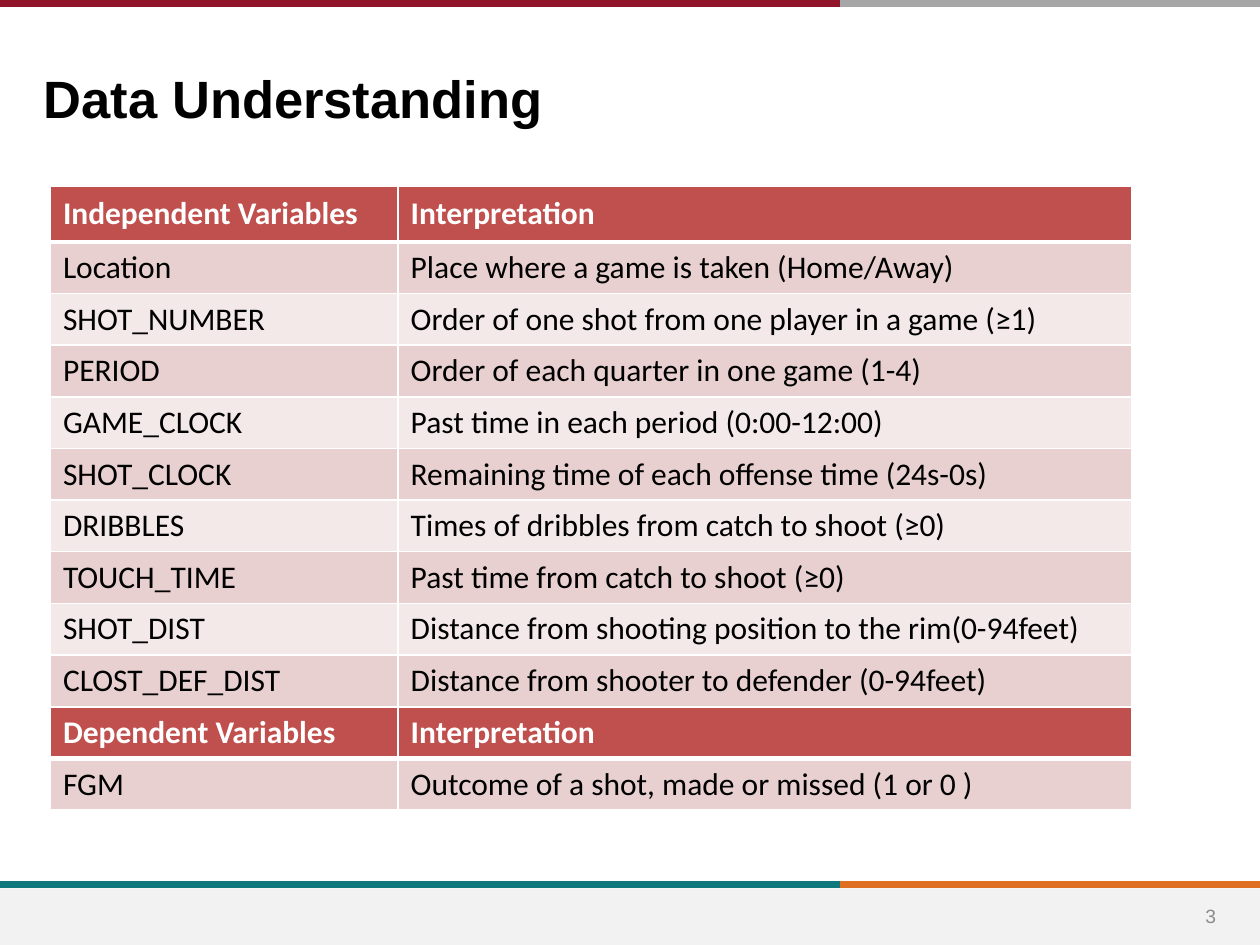
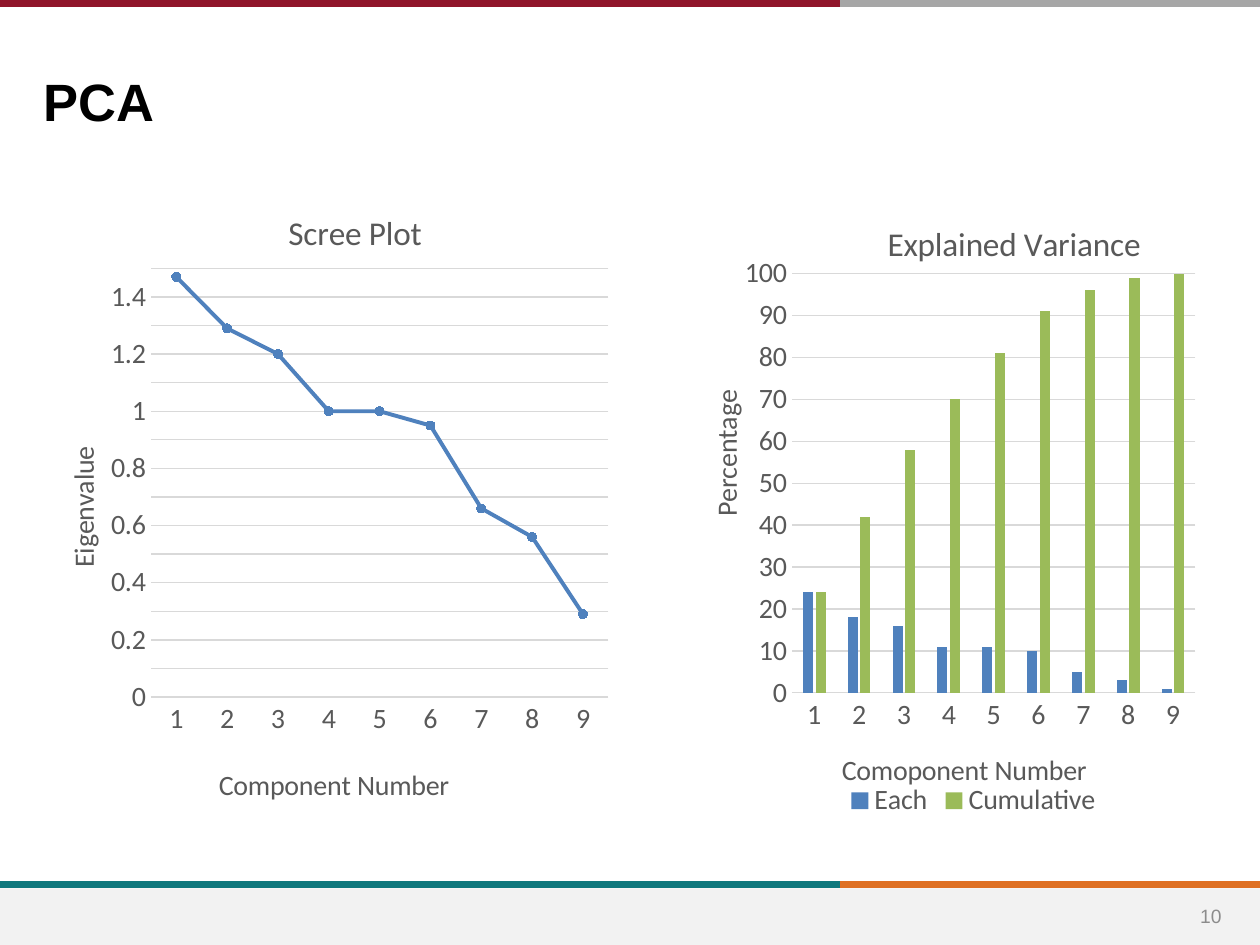
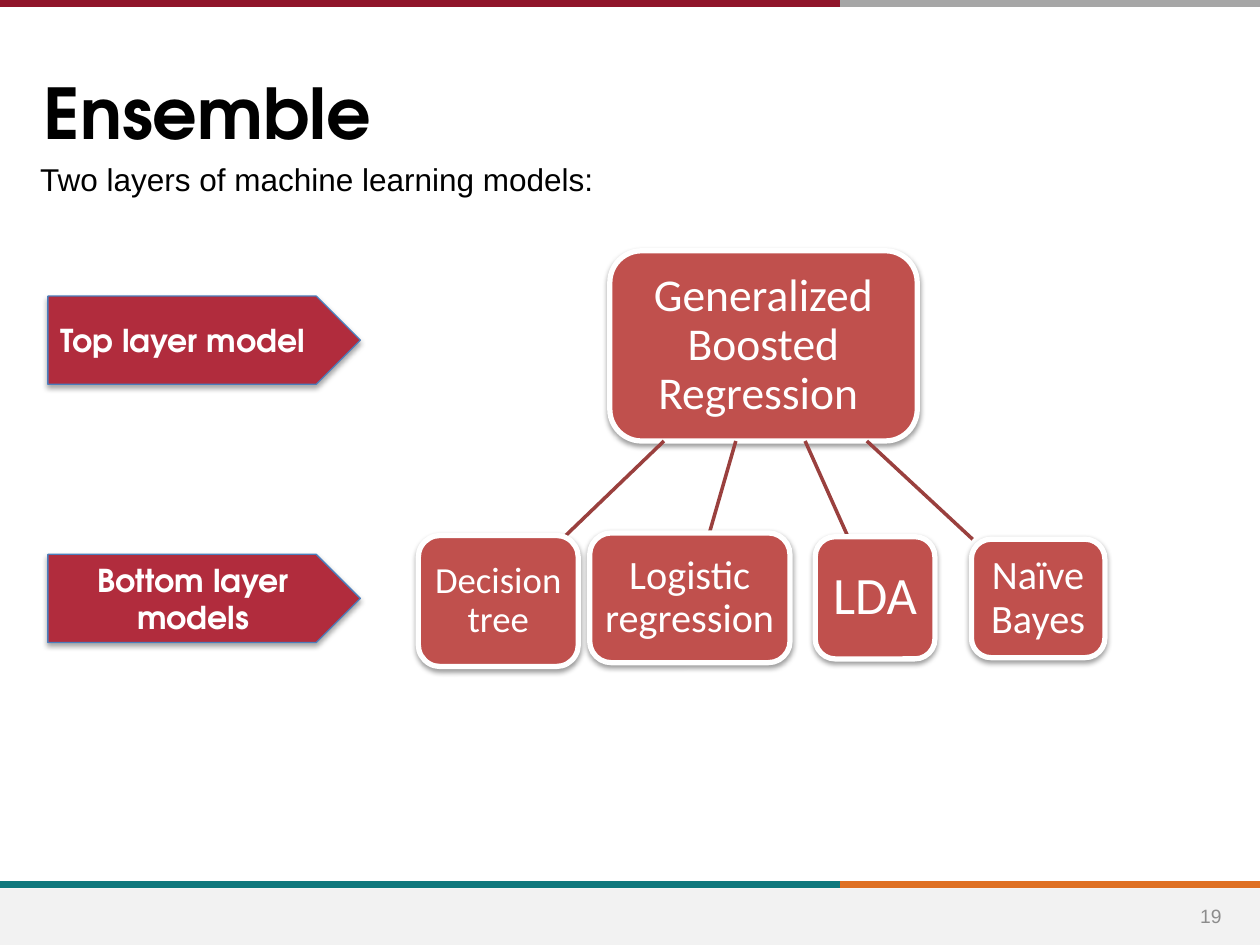
"""Build three slides on shot data, PCA and an ensemble of models."""
from lxml.etree import SubElement
from pptx import Presentation
from pptx.chart.data import CategoryChartData as Data
from pptx.dml.color import RGBColor
from pptx.enum.chart import XL_CHART_TYPE as Kind, XL_LEGEND_POSITION as Spot
from pptx.enum.chart import XL_MARKER_STYLE as Mark, XL_TICK_MARK as Tick
from pptx.enum.shapes import MSO_CONNECTOR as Link, MSO_SHAPE as Form
from pptx.enum.text import MSO_ANCHOR as Anchor, PP_ALIGN as Align
from pptx.oxml.ns import qn
from pptx.util import Inches, Pt

HUES = {
    "black": "000000", "white": "FFFFFF", "page": "8C8C8C", "foot": "F2F2F2",
    "wine": "90152A", "grey": "A6A6A6", "teal": "0F787D", "orange": "DF7023",
    "brick": "C0504D", "dark": "E8D0D0", "light": "F4E9E9", "link": "9A403E",
    "tag": "B12C3D", "edge": "4B7EBC",
    "ink": "595959", "grid": "D9D9D9", "blue": "4F81BD", "green": "9BBB59",
}
SANS, BODY, ROUND = "Arial", "Calibri", "TeX Gyre Adventor"

BANDS = [
    (0, 6.67, 0.03, "wine"), (6.67, 10, 0.03, "grey"),
    (0, 6.67, 7.02, "teal"), (6.67, 10, 7.02, "orange"),
]
COLS = (2.76, 5.82)
INPUTS = [
    ("Independent Variables", "Interpretation"),
    ("Location", "Place where a game is taken (Home/Away)"),
    ("SHOT_NUMBER", "Order of one shot from one player in a game (≥1)"),
    ("PERIOD", "Order of each quarter in one game (1-4)"),
    ("GAME_CLOCK", "Past time in each period (0:00-12:00)"),
    ("SHOT_CLOCK", "Remaining time of each offense time (24s-0s)"),
    ("DRIBBLES", "Times of dribbles from catch to shoot (≥0)"),
    ("TOUCH_TIME", "Past time from catch to shoot (≥0)"),
    ("SHOT_DIST", "Distance from shooting position to the rim(0-94feet)"),
    ("CLOST_DEF_DIST", "Distance from shooter to defender (0-94feet)"),
]
TARGET = [
    ("Dependent Variables", "Interpretation"),
    ("FGM", "Outcome of a shot, made or missed (1 or 0 )"),
]
SCREE = {
    "kind": Kind.LINE_MARKERS, "at": (0.38, 1.47, 4.54, 5.08),
    "plot": (0.18, 0.13, 0.8, 0.67), "top": 1.5, "step": 0.1, "fmt": "General",
    "title": ("Scree Plot", 0.41, 0.03),
    "x": ("Component Number", 0.29, 0.9), "y": ("Eigenvalue", 0.02, 0.4),
    "series": [("Series 1", "blue", (1.47, 1.29, 1.2, 1, 1, 0.95, 0.66, 0.56, 0.29))],
}
SHARE = {
    "kind": Kind.COLUMN_CLUSTERED, "at": (5.35, 1.34, 4.45, 5.2),
    "plot": (0.21, 0.16, 0.72, 0.64), "top": 100, "step": 10, "fmt": "#,##0",
    "title": ("Explained Variance", 0.37, 0.07),
    "x": ("Comoponent Number", 0.29, 0.88), "y": ("Percentage", 0.05, 0.33),
    "legend": (0.3, 0.93),
    "series": [
        ("Each", "blue", (24, 18, 16, 11, 11, 10, 5, 3, 1)),
        ("Cumulative", "green", (24, 42, 58, 70, 81, 91, 96, 99, 100)),
    ],
}
ROOT = ("Generalized Boosted Regression ", 26, (4.84, 1.99, 2.44, 1.51))
LEAVES = [
    ("Decision tree", 21, (3.32, 4.25, 1.27, 1.04), (5.27, 4.49)),
    ("Logistic regression", 23, (4.68, 4.23, 1.59, 1.03), (5.84, 5.63)),
    ("LDA", 30, (6.47, 4.26, 0.95, 0.97), (6.39, 6.73)),
    ("Naïve Bayes", 23, (7.71, 4.28, 1.06, 0.94), (6.88, 7.72)),
]
TAGS = [("Top layer model", 2.35, Align.LEFT), ("Bottom layer models", 4.4, Align.CENTER)]


def hue(name):
    return RGBColor.from_string(HUES[name])


def box(at):
    return [Inches(n) for n in at]


def style(font, size, face, color, bold=False):
    font.size, font.name, font.bold = Pt(size), face, bold
    font.color.rgb = hue(color)


def write(frame, text, size, face, color, bold=False, align=Align.LEFT):
    para = frame.paragraphs[0]
    para.alignment = align
    run = para.add_run()
    run.text = text
    style(run.font, size, face, color, bold)
    return para


def label(slide, at, text, size, face, color, bold=False, align=Align.LEFT, anchor=Anchor.TOP):
    frame = slide.shapes.add_textbox(*box(at)).text_frame
    frame.word_wrap, frame.vertical_anchor = True, anchor
    write(frame, text, size, face, color, bold, align)
    return frame


def stroke(slide, start, end, color, width):
    line = slide.shapes.add_connector(Link.STRAIGHT, *box(start + end))
    line.line.color.rgb, line.line.width = hue(color), Pt(width)
    SubElement(line._element.spPr, qn("a:effectLst"))


def block(slide, form, at, fill, edge=None, width=1):
    shape = slide.shapes.add_shape(form, *box(at))
    shape.shadow.inherit = False
    shape.fill.solid()
    shape.fill.fore_color.rgb = hue(fill)
    if edge:
        shape.line.color.rgb, shape.line.width = hue(edge), Pt(width)
    else:
        shape.line.fill.background()
    shape.text_frame.word_wrap = True
    shape.text_frame.vertical_anchor = Anchor.MIDDLE
    return shape


def shade(shape, alpha, dist):
    effect = shape._element.spPr.find(qn("a:effectLst"))
    outer = SubElement(effect, qn("a:outerShdw"), blurRad=str(Pt(3.1)), dist=str(Pt(dist)),
                       dir="5400000", rotWithShape="0")
    color = SubElement(outer, qn("a:srgbClr"), val=HUES["black"])
    SubElement(color, qn("a:alpha"), val=str(alpha * 1000))


def start(deck, title, page, top=0.46, size=30, face=SANS):
    slide = deck.slides.add_slide(deck.slide_layouts[6])
    for left, right, y, color in BANDS:
        stroke(slide, (left, y), (right, y), color, 4)
    block(slide, Form.RECTANGLE, (0, 7.05, 10, 0.45), "foot")
    label(slide, (9.35, 7.07, 0.52, 0.4), str(page), 11, SANS, "page",
          align=Align.CENTER, anchor=Anchor.MIDDLE)
    frame = label(slide, (0.25, top, 7.99, 0.59), title, size, face, "black", True)
    frame.margin_top = Inches(0.09)
    return slide


def border(cell, low):
    props = cell._tc.get_or_add_tcPr()
    for spot, (side, width) in enumerate((("L", 1), ("R", 1), ("T", 1), ("B", low))):
        line = props.makeelement(qn("a:ln" + side), {"w": str(Pt(width))})
        color = SubElement(SubElement(line, qn("a:solidFill")), qn("a:srgbClr"))
        color.set("val", HUES["white"])
        props.insert(spot, line)


def grid(slide, rows, top, head):
    high = [head] + [0.41] * (len(rows) - 1)
    at = (0.4, top, sum(COLS), sum(high))
    table = slide.shapes.add_table(len(rows), len(COLS), *box(at)).table
    for col, width in zip(table.columns, COLS):
        col.width = Inches(width)
    for r, row in enumerate(rows):
        table.rows[r].height = Inches(high[r])
        fill = "brick" if r == 0 else ("light", "dark")[r % 2]
        for c, text in enumerate(row):
            cell = table.cell(r, c)
            cell.vertical_anchor = Anchor.MIDDLE
            cell.fill.solid()
            cell.fill.fore_color.rgb = hue(fill)
            border(cell, 3 if r == 0 else 1)
            write(cell.text_frame, text, 18, BODY, "black" if r else "white", r == 0)


def place(node, *spots, inner=False):
    old = node.find(qn("c:layout"))
    if old is not None:
        node.remove(old)
    layout = node.makeelement(qn("c:layout"), {})
    over = node.find(qn("c:overlay"))
    node.insert(0 if over is None else node.index(over), layout)
    manual = SubElement(layout, qn("c:manualLayout"))
    if inner:
        SubElement(manual, qn("c:layoutTarget"), val="inner")
    for key in "xy":
        SubElement(manual, qn(f"c:{key}Mode"), val="edge")
    for key, spot in zip("xywh", spots):
        SubElement(manual, qn("c:" + key), val=str(spot))


def name(title, item, size=16):
    text, x, y = item
    write(title.text_frame, text, size, BODY, "ink", align=Align.CENTER)
    place(title._element, x, y)


def plot(slide, info):
    data = Data()
    data.categories = [str(n) for n in range(1, 10)]
    for key, _, vals in info["series"]:
        data.add_series(key, vals)
    chart = slide.shapes.add_chart(info["kind"], *box(info["at"]), data).chart
    style(chart.font, 16, BODY, "ink")
    chart.has_title = True
    name(chart.chart_title, info["title"], 19)
    cat, val = chart.category_axis, chart.value_axis
    for axis, key in ((cat, "x"), (val, "y")):
        axis.major_tick_mark = axis.minor_tick_mark = Tick.NONE
        style(axis.tick_labels.font, 16, BODY, "ink")
        name(axis.axis_title, info[key])
    val.axis_title._element.find(".//" + qn("a:bodyPr")).set("rot", "-5400000")
    val.minimum_scale, val.maximum_scale, val.major_unit = 0, info["top"], info["step"]
    val.tick_labels.number_format = info["fmt"]
    val.tick_labels.number_format_is_linked = False
    val.format.line.fill.background()
    for line in (cat.format.line, val.major_gridlines.format.line):
        line.color.rgb, line.width = hue("grid"), Pt(0.75)
    chart.has_legend = "legend" in info
    if chart.has_legend:
        chart.legend.position = Spot.BOTTOM
        chart.legend.include_in_layout = False
        style(chart.legend.font, 16, BODY, "ink")
        place(chart.legend._element, *info["legend"])
    place(chart._chartSpace.chart.plotArea, *info["plot"], inner=True)
    bars = chart.plots[0]
    bars.vary_by_categories = False
    for series, (_, color, _) in zip(bars.series, info["series"]):
        if info["kind"] == Kind.LINE_MARKERS:
            series.smooth = False
            series.format.line.color.rgb = hue(color)
            series.format.line.width = Pt(2.25)
            series.marker.style, series.marker.size = Mark.CIRCLE, 5
            series.marker.format.line.color.rgb = hue(color)
            fill = series.marker.format.fill
        else:
            bars.gap_width, bars.overlap = 219, -27
            fill = series.format.fill
        fill.solid()
        fill.fore_color.rgb = hue(color)


def model(slide, text, size, at):
    shape = block(slide, Form.ROUNDED_RECTANGLE, at, "brick", "white", 3)
    shade(shape, 38, 1.6)
    frame = shape.text_frame
    frame.margin_left = frame.margin_right = Inches(0.06)
    frame.margin_top = frame.margin_bottom = Inches(0.06)
    write(frame, text, size, BODY, "white", align=Align.CENTER).line_spacing = 0.9


def main():
    deck = Presentation()
    deck.slide_width, deck.slide_height = Inches(10), Inches(7.5)

    slide = start(deck, "Data Understanding", 3, top=0.43)
    grid(slide, INPUTS, 1.48, 0.44)
    grid(slide, TARGET, 5.61, 0.41)

    slide = start(deck, "PCA", 10)
    for info in (SCREE, SHARE):
        plot(slide, info)

    slide = start(deck, "Ensemble", 19, size=40, face=ROUND)
    label(slide, (0.22, 1.22, 9.51, 0.45), "Two layers of machine learning models:",
          18, SANS, "black")
    model(slide, *ROOT)
    base = ROOT[2][1] + ROOT[2][3]
    for text, size, at, (left, right) in LEAVES:
        stroke(slide, (left, base), (right, at[1]), "link", 2)
        model(slide, text, size, at)
    for text, top, align in TAGS:
        tag = block(slide, Form.PENTAGON, (0.38, top, 2.48, 0.7), "tag", "edge", 0.75)
        shade(tag, 35, 1.8)
        write(tag.text_frame, text, 18, ROUND, "white", True, align)

    deck.save("out.pptx")


if __name__ == "__main__":
    main()
